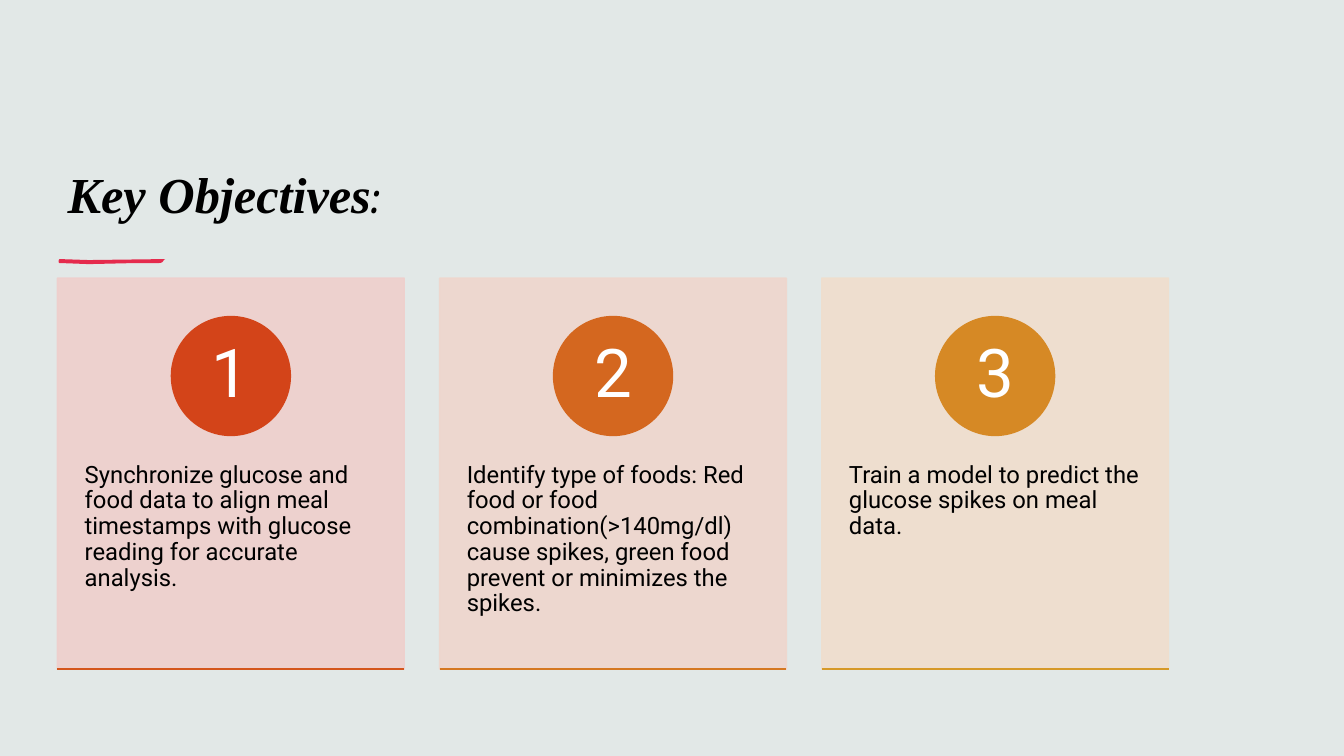
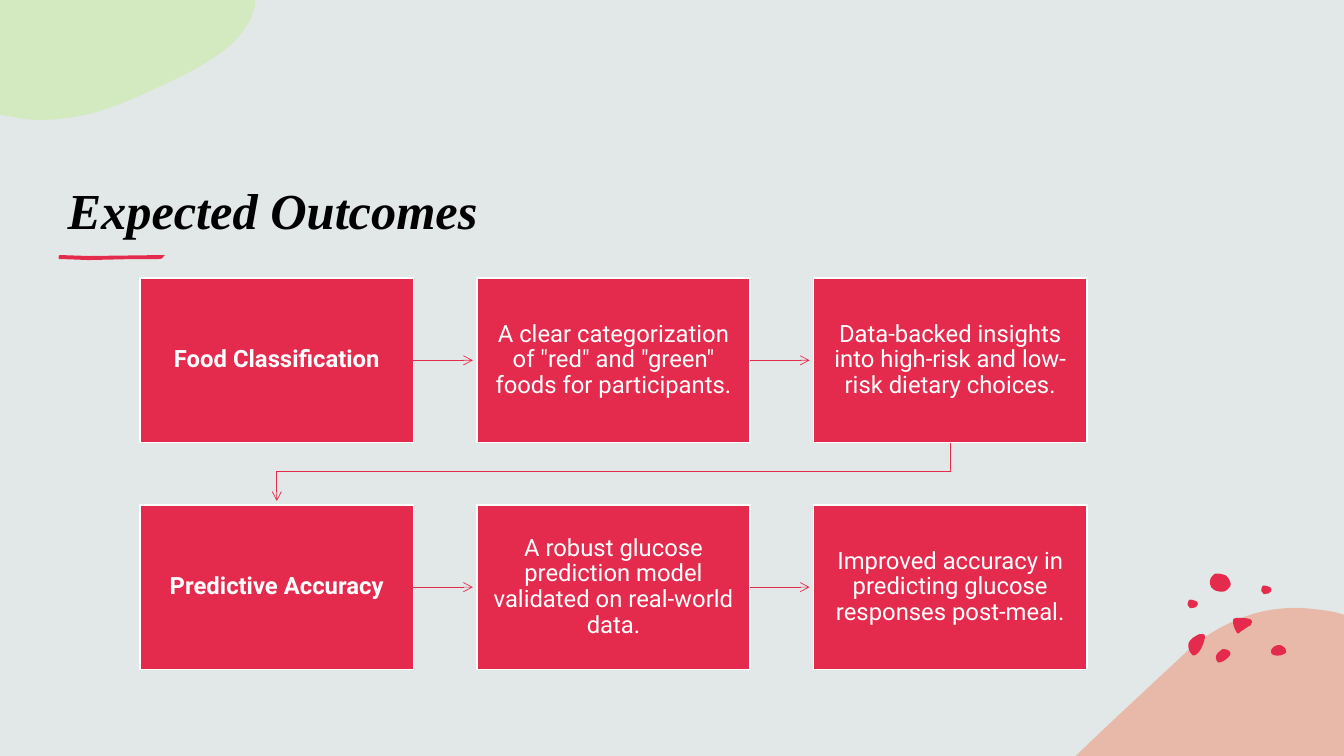
import pptx
import pptx.util
from lxml import etree
from pptx.dml.color import RGBColor
from pptx.enum.shapes import MSO_CONNECTOR, MSO_SHAPE
from pptx.enum.text import MSO_ANCHOR, MSO_AUTO_SIZE, PP_ALIGN
from pptx.oxml.ns import qn

Inches, Pt = pptx.util.Inches, pptx.util.Pt

# Shared style
PAPER = RGBColor(0xE2, 0xE8, 0xE7)
CRIMSON = RGBColor(0xE5, 0x2B, 0x4D)
PEACH = RGBColor(0xEE, 0x8A, 0x6C)
LIME = RGBColor(0xC5, 0xEC, 0x9C)
BLACK = RGBColor(0, 0, 0)
WHITE = RGBColor(0xFF, 0xFF, 0xFF)
BODY_FONT, TITLE_FONT = "Roboto", "Times New Roman"
BODY_SIZE, NUMBER_SIZE, TITLE_SIZE = 17, 48, 36
LEFT, TITLE_WIDTH, TITLE_HEIGHT = 0.57, 11.02, 1.45
CONTENT_TOP, CONTENT_BOTTOM = 2.76, 6.64

# Content: text, card colour, badge colour, rule colour
OBJECTIVES = [
    ("Synchronize glucose and food data to align meal timestamps with glucose "
     "reading for accurate analysis.",
     RGBColor(0xEF, 0xCF, 0xCC), RGBColor(0xD3, 0x44, 0x19), RGBColor(0xD4, 0x56, 0x1C)),
    ("Identify type of foods: Red food or food combination(>140mg/dl) cause "
     "spikes, green food prevent or minimizes the spikes.",
     RGBColor(0xEF, 0xD6, 0xCD), RGBColor(0xD4, 0x67, 0x1F), RGBColor(0xD5, 0x78, 0x22)),
    ("Train a model to predict the glucose spikes on meal data.",
     RGBColor(0xF0, 0xDE, 0xCD), RGBColor(0xD6, 0x89, 0x25), RGBColor(0xD6, 0x99, 0x28)),
]
# Each row starts with its heading
OUTCOMES = [
    ["Food Classification",
     'A clear categorization of "red" and "green" foods for participants.',
     "Data-backed insights into high-risk and low-risk dietary choices."],
    ["Predictive Accuracy",
     "A robust glucose prediction model validated on real-world data.",
     "Improved accuracy in predicting glucose responses post-meal."],
]

# Outlines: a start point, then lines (x, y) or cubic curves (two controls, end)
HILL = [(12.88, 6.03), (13.01, 6.04, 13.14, 6.05, 13.27, 6.08), (13.33, 6.1),
        (13.33, 7.5), (10.67, 7.5), (11.02, 7.16, 11.37, 6.84, 11.69, 6.54),
        (11.91, 6.32, 12.14, 6.19, 12.37, 6.11), (12.54, 6.05, 12.71, 6.03, 12.88, 6.03)]
LEAF = [(0, 0), (2.53, 0), (2.53, 0.06), (2.45, 0.44, 2, 0.67, 1.58, 0.86),
        (1.23, 1.03, 0.86, 1.19, 0.41, 1.19), (0.31, 1.19, 0.22, 1.18, 0.13, 1.16),
        (0, 1.14)]
PEBBLE = [(0, 0.05), (0, 0.05, 0, 0.01, 0.02, 0), (0.04, 0, 0.05, 0, 0.07, 0.01),
          (0.08, 0.01, 0.1, 0.02, 0.1, 0.04), (0.1, 0.05, 0.09, 0.07, 0.08, 0.07),
          (0.08, 0.07, 0.08, 0.08, 0.06, 0.08), (0.05, 0.08, 0.03, 0.09, 0.02, 0.08),
          (0.01, 0.06, 0, 0.06, 0, 0.05)]
PEBBLE_PLACES = [(12.51, 5.81), (11.78, 5.95)]
SPOTS = [
    [(12.13, 6.44), (12.15, 6.44, 12.16, 6.44, 12.18, 6.45),
     (12.2, 6.46, 12.21, 6.48, 12.2, 6.5), (12.18, 6.53, 12.12, 6.58, 12.08, 6.57),
     (12.07, 6.56, 12.06, 6.54, 12.06, 6.52), (12.06, 6.5, 12.08, 6.47, 12.1, 6.46),
     (12.11, 6.45, 12.12, 6.44, 12.13, 6.44)],
    [(11.91, 6.29), (11.93, 6.29, 11.95, 6.29, 11.95, 6.31),
     (11.95, 6.32, 11.95, 6.32, 11.95, 6.33), (11.94, 6.38, 11.92, 6.43, 11.89, 6.47),
     (11.87, 6.49, 11.84, 6.52, 11.82, 6.49), (11.79, 6.46, 11.78, 6.41, 11.79, 6.38),
     (11.8, 6.35, 11.82, 6.34, 11.84, 6.32), (11.85, 6.32, 11.88, 6.29, 11.91, 6.29)],
    [(12.69, 6.4), (12.71, 6.4, 12.74, 6.42, 12.75, 6.44),
     (12.76, 6.46, 12.76, 6.48, 12.73, 6.49), (12.7, 6.51, 12.62, 6.51, 12.61, 6.48),
     (12.6, 6.46, 12.61, 6.44, 12.62, 6.43), (12.64, 6.41, 12.66, 6.4, 12.69, 6.4)],
    [(12.01, 5.81), (12, 5.81, 11.99, 5.75, 12.02, 5.72),
     (12.04, 5.7, 12.04, 5.69, 12.07, 5.69), (12.1, 5.69, 12.14, 5.7, 12.16, 5.71),
     (12.18, 5.73, 12.22, 5.78, 12.2, 5.82), (12.17, 5.85, 12.16, 5.87, 12.12, 5.87),
     (12.09, 5.87, 12.04, 5.86, 12.03, 5.84), (12.01, 5.83, 12.01, 5.82, 12.01, 5.81)],
    [(12.28, 6.13), (12.34, 6.13, 12.45, 6.13, 12.41, 6.19),
     (12.41, 6.2, 12.4, 6.21, 12.39, 6.21), (12.36, 6.23, 12.33, 6.25, 12.3, 6.27),
     (12.29, 6.28, 12.28, 6.29, 12.27, 6.28), (12.24, 6.23, 12.23, 6.2, 12.23, 6.16),
     (12.23, 6.14, 12.24, 6.13, 12.28, 6.13)],
]
BRUSH_STROKE = [(0.01, 0), (0.3, 0.01), (1.06, 0),
                (1.03, 0.01, 1.05, 0.04, 0.99, 0.04), (0.75, 0.04), (0.3, 0.05),
                (0.03, 0.04), (-0.01, 0.05, 0, 0.01, 0.01, 0)]


def paint(shape, fill, line=None, opacity=100):
    shape.shadow.inherit = False
    shape.fill.solid()
    shape.fill.fore_color.rgb = fill
    if line is None:
        shape.line.fill.background()
    else:
        shape.line.color.rgb = line
        shape.line.width = Pt(1)
    if opacity < 100:
        for color in shape.element.spPr.iter(qn("a:srgbClr")):
            etree.SubElement(color, qn("a:alpha"), val=str(opacity * 1000))


def add_block(slide, kind, box, fill, line, opacity=100):
    block = slide.shapes.add_shape(kind, *map(Inches, box))
    paint(block, fill, line, opacity)
    return block


def add_outline(slide, outline, fill, opacity=100, origin=(0, 0), steps=8):
    points = [outline[0]]
    for segment in outline[1:]:
        if len(segment) == 2:
            points.append(segment)
            continue
        start, c1, c2, end = points[-1], segment[:2], segment[2:4], segment[4:]
        for step in range(1, steps + 1):
            t = step / steps
            u = 1 - t
            points.append(tuple(
                u**3 * a + 3 * u * u * t * b + 3 * u * t * t * c + t**3 * d
                for a, b, c, d in zip(start, c1, c2, end)))
    placed = [(Inches(x + origin[0]), Inches(y + origin[1])) for x, y in points]
    builder = slide.shapes.build_freeform(*placed[0])
    builder.add_line_segments(placed[1:], close=True)
    paint(builder.convert_to_shape(), fill, opacity=opacity)


def add_run(paragraph, text, size, color, font=BODY_FONT, bold=False, italic=False):
    run = paragraph.add_run()
    run.text = text
    run.font.name, run.font.size = font, Pt(size)
    run.font.bold, run.font.italic = bold, italic
    run.font.color.rgb = color


def write(shape, text, size, color, margins, align=PP_ALIGN.CENTER,
          anchor=MSO_ANCHOR.MIDDLE, bold=False):
    frame = shape.text_frame
    frame.word_wrap = True
    frame.vertical_anchor = anchor
    (frame.margin_left, frame.margin_top,
     frame.margin_right, frame.margin_bottom) = map(Inches, margins)
    paragraph = frame.paragraphs[0]
    paragraph.alignment = align
    paragraph.line_spacing = 0.9
    add_run(paragraph, text, size, color, bold=bold)


def add_line(slide, start, end, color, width, kind=MSO_CONNECTOR.STRAIGHT, arrow=False):
    line = slide.shapes.add_connector(kind, *map(Inches, start + end))
    line.line.color.rgb = color
    line.line.width = Pt(width)
    if arrow:
        etree.SubElement(line.line._get_or_add_ln(), qn("a:tailEnd"), type="arrow")
    etree.SubElement(line.element.spPr, qn("a:effectLst"))
    return line


def add_titled_slide(deck, title_runs, title_top, stroke_top):
    slide = deck.slides.add_slide(deck.slide_layouts.get_by_name("Title Only"))
    title = slide.shapes.title
    title.left, title.top, title.width, title.height = map(
        Inches, (LEFT, title_top, TITLE_WIDTH, TITLE_HEIGHT))
    frame = title.text_frame
    frame.auto_size = MSO_AUTO_SIZE.NONE
    frame.vertical_anchor = MSO_ANCHOR.BOTTOM
    frame.paragraphs[0].alignment = PP_ALIGN.LEFT
    for text, font, bold in title_runs:
        add_run(frame.paragraphs[0], text, TITLE_SIZE, BLACK, font, bold, italic=True)
    add_outline(slide, BRUSH_STROKE, CRIMSON, origin=(0.58, stroke_top))
    return slide


def build_objectives(deck):
    slide = add_titled_slide(
        deck, [("Key Objectives", TITLE_FONT, True), (":", "Cambria", False)], 0.82, 2.57)
    width, pitch, badge_size = 3.44, 3.79, 1.18
    for index, (text, card_color, badge_color, rule_color) in enumerate(OBJECTIVES):
        left = LEFT + index * pitch
        card = add_block(slide, MSO_SHAPE.RECTANGLE,
                         (left, CONTENT_TOP, width, CONTENT_BOTTOM - CONTENT_TOP),
                         card_color, card_color, opacity=90)
        write(card, text, BODY_SIZE, BLACK, (0.27, 1.83, 0.27, 0.36),
              PP_ALIGN.LEFT, MSO_ANCHOR.TOP)
        badge = add_block(slide, MSO_SHAPE.OVAL,
                          (left + (width - badge_size) / 2, 3.14, badge_size, badge_size),
                          badge_color, badge_color)
        write(badge, str(index + 1), NUMBER_SIZE, WHITE, (0, 0, 0, 0))
        add_line(slide, (left, CONTENT_BOTTOM), (left + width, CONTENT_BOTTOM),
                 rule_color, 1.5)


def build_outcomes(deck):
    slide = add_titled_slide(deck, [("Expected Outcomes", TITLE_FONT, True)], 0.98, 2.53)

    # Corner decoration
    add_outline(slide, HILL, PEACH, opacity=50)
    add_outline(slide, LEAF, LIME, opacity=50)
    for spot in SPOTS:
        add_outline(slide, spot, CRIMSON)
    for place in PEBBLE_PLACES:
        add_outline(slide, PEBBLE, CRIMSON, origin=place)

    # Flow of steps, row by row
    left, width, height, gap = 1.39, 2.71, 1.63, 0.04
    column_pitch, row_pitch = 3.34, 2.25
    for row, steps in enumerate(OUTCOMES):
        y = CONTENT_TOP + row * row_pitch
        for column, text in enumerate(steps):
            x = left + column * column_pitch
            step = add_block(slide, MSO_SHAPE.RECTANGLE, (x, y, width, height),
                             CRIMSON, WHITE)
            write(step, text, BODY_SIZE, WHITE, (0.13, 0.14, 0.13, 0.14),
                  bold=column == 0)
            if column < len(steps) - 1:
                middle = y + height / 2
                arrow = add_line(slide, (x + width, middle),
                                 (x + column_pitch - gap, middle),
                                 CRIMSON, 0.5, arrow=True)
                arrow.begin_connect(step, 3)

    # Return arrow: an elbow turned a quarter, so it leaves downwards
    span = 2 * column_pitch
    drop = row_pitch - height - gap
    center_x = left + width / 2 + column_pitch
    center_y = CONTENT_TOP + height + drop / 2
    elbow = add_line(slide, (center_x - drop / 2, center_y - span / 2),
                     (center_x + drop / 2, center_y + span / 2),
                     CRIMSON, 0.5, MSO_CONNECTOR.ELBOW, arrow=True)
    elbow.element.spPr.find(qn("a:xfrm")).set("rot", "5400000")


def main():
    deck = pptx.Presentation()
    deck.slide_width, deck.slide_height = Inches(13.33), Inches(7.5)
    backdrop = deck.slide_master.background.fill
    backdrop.solid()
    backdrop.fore_color.rgb = PAPER
    build_objectives(deck)
    build_outcomes(deck)
    deck.save("out.pptx")


if __name__ == "__main__":
    main()
